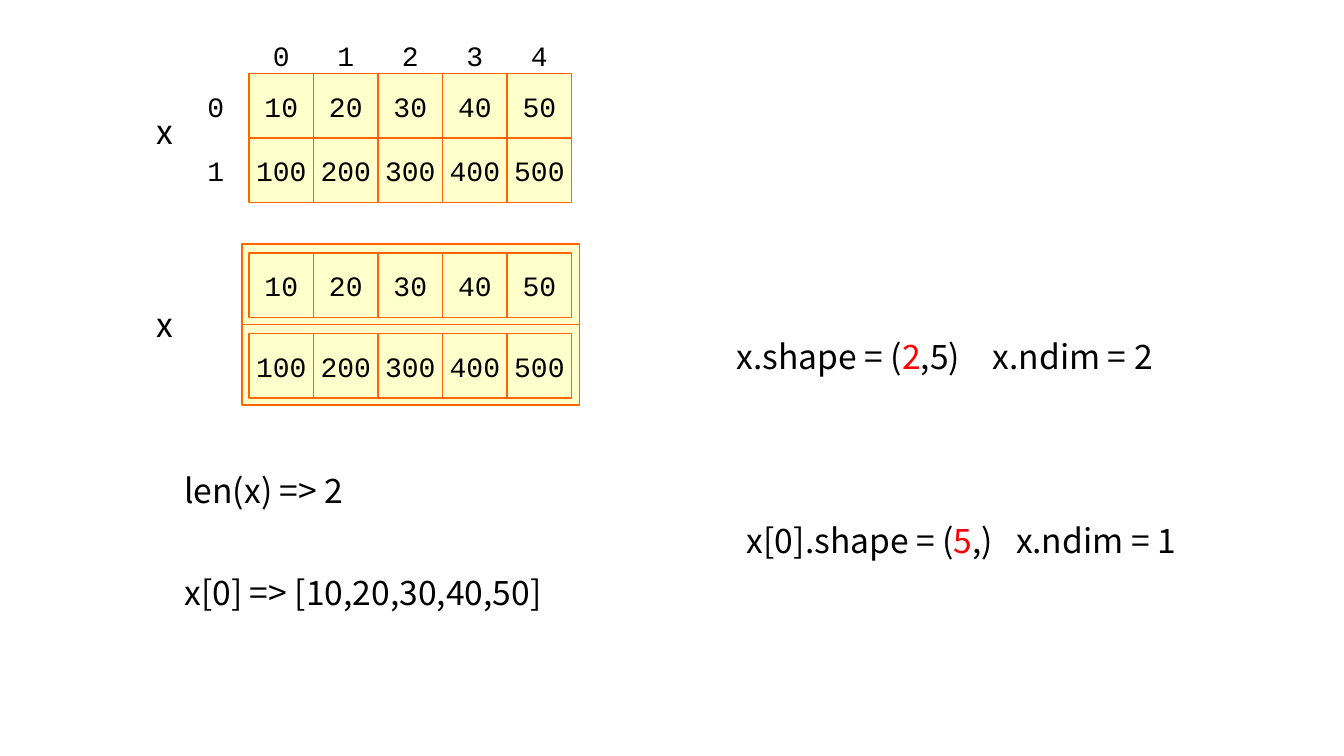
import pptx
import pptx.util
import pptx.dml.color
import pptx.enum.shapes
import pptx.enum.text

COLORS = {"text": "000000", "mark": "FF0000", "cell": "FFFFCC", "edge": "FF6600"}
MONO, SANS = "Courier New", "Noto Sans CJK KR"

ROWS = [[10, 20, 30, 40, 50], [100, 200, 300, 400, 500]]
# left, top, width, runs as (text, color)
LABELS = [
    (1.45, 1.05, 0.36, [("x", "text")]),
    (1.45, 2.97, 0.36, [("x", "text")]),
    (1.73, 4.61, 1.92, [("len(x) => 2", "text")]),
    (1.73, 5.62, 3.82, [("x[0] => [10,20,30,40,50]", "text")]),
    (7.21, 3.28, 2.53, [("x.shape = (", "text"), ("2", "mark"), (",5)", "text")]),
    (9.75, 3.28, 1.89, [("x.ndim = 2", "text")]),
    (7.31, 5.11, 2.66, [("x[0].shape = (", "text"), ("5", "mark"), (",)", "text")]),
    (9.98, 5.11, 1.89, [("x.ndim = 1", "text")]),
]

SIDE = 0.64                        # cell pitch and size
LEFT, TOP = 2.47, 0.73             # first cell of the plain grid
HEAD_TOP, HEAD_LEFT = 0.23, 1.82   # column and row indexes
FRAME_LEFT, FRAME_TOP = 2.4, 2.42  # frames around the nested rows
FRAME_W, FRAME_H, PAD = 3.35, 0.8, 0.09

inch = pptx.util.Inches
align = pptx.enum.text.PP_ALIGN
anchor = pptx.enum.text.MSO_ANCHOR
fit = pptx.enum.text.MSO_AUTO_SIZE

deck = pptx.Presentation()
deck.slide_width, deck.slide_height = inch(13.33), inch(7.5)
slide = deck.slides.add_slide(deck.slide_layouts[6])


def rgb(name):
    return pptx.dml.color.RGBColor.from_string(COLORS[name])


def write(shape, runs, font=SANS, size=24, center=False):
    """Centred text sits in a tight fixed box; other text sizes its own box."""
    frame = shape.text_frame
    frame.word_wrap = center
    frame.auto_size = fit.NONE if center else fit.SHAPE_TO_FIT_TEXT
    frame.vertical_anchor = anchor.MIDDLE if center else anchor.TOP
    if center:
        frame.margin_left = frame.margin_right = inch(0.04)
    para = frame.paragraphs[0]
    para.alignment = align.CENTER if center else align.LEFT
    for text, color in runs:
        run = para.add_run()
        run.text = text
        run.font.name, run.font.size = font, pptx.util.Pt(size)
        run.font.color.rgb = rgb(color)
        fonts = run.font._element
        east = fonts.makeelement(pptx.oxml.ns.qn("a:ea"), {"typeface": font})
        fonts.append(east)


def box(left, top, width, height):
    kind = pptx.enum.shapes.MSO_SHAPE.RECTANGLE
    shape = slide.shapes.add_shape(
        kind, inch(left), inch(top), inch(width), inch(height))
    shape.shadow.inherit = False
    shape.fill.solid()
    shape.fill.fore_color.rgb = rgb("cell")
    shape.line.color.rgb = rgb("edge")
    shape.line.width = pptx.util.Pt(1)
    return shape


def area(left, top, width, height):
    return slide.shapes.add_textbox(
        inch(left), inch(top), inch(width), inch(height))


def square(make, value, left, top):
    write(make(left, top, SIDE, SIDE), [(str(value), "text")],
          font=MONO, size=20, center=True)


def strip(make, values, top):
    for col, value in enumerate(values):
        square(make, value, LEFT + col * SIDE, top)


def main():
    strip(area, range(len(ROWS[0])), HEAD_TOP)
    for row, values in enumerate(ROWS):
        top = TOP + row * SIDE
        square(area, row, HEAD_LEFT, top)
        strip(box, values, top)

        top = FRAME_TOP + row * FRAME_H
        box(FRAME_LEFT, top, FRAME_W, FRAME_H)
        strip(box, values, top + PAD)
    for left, top, width, runs in LABELS:
        write(area(left, top, width, 0.5), runs)
    deck.save("out.pptx")


if __name__ == "__main__":
    main()
